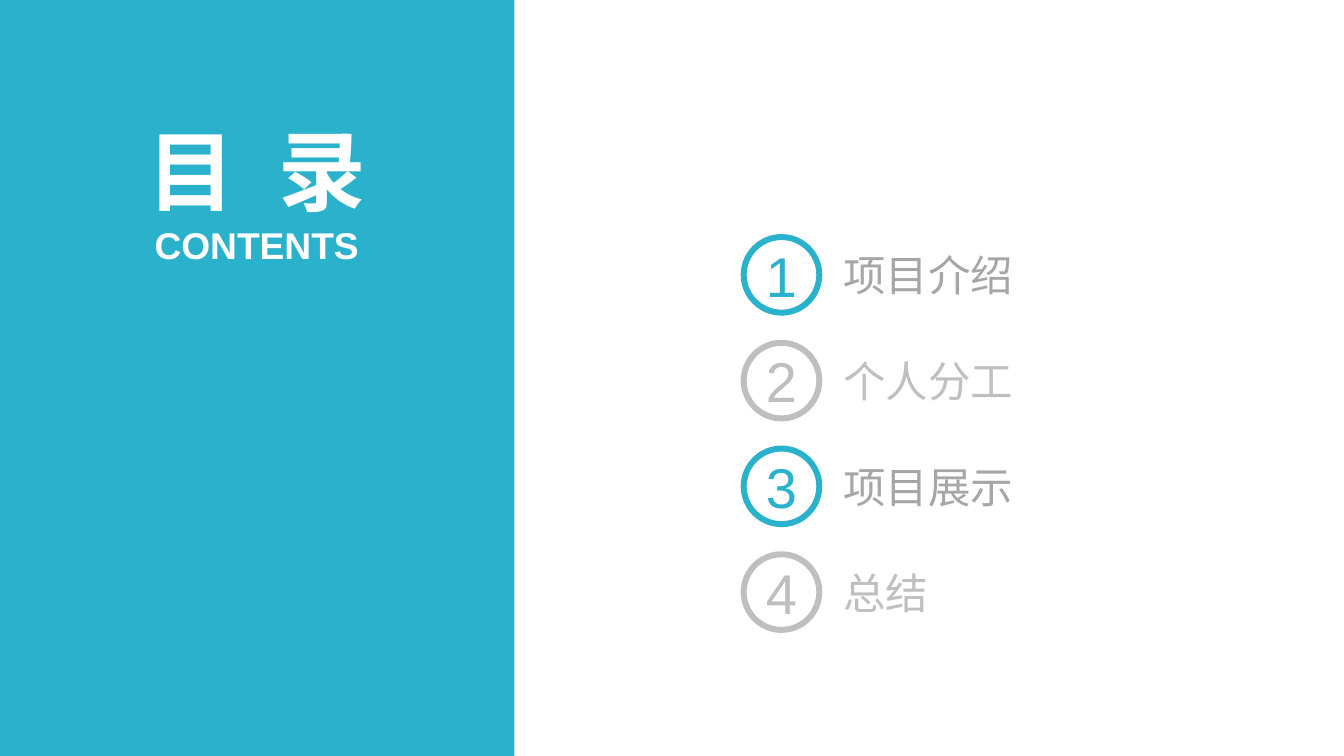
import dataclasses
import typing

import pptx
import pptx.dml.color
import pptx.enum.shapes
import pptx.enum.text
import pptx.oxml.ns
import pptx.util
from pptx.util import Cm

ALIGN = pptx.enum.text.PP_ALIGN
ANCHOR = pptx.enum.text.MSO_ANCHOR
SHAPE = pptx.enum.shapes.MSO_SHAPE


@dataclasses.dataclass(frozen=True)
class Theme:
    font: str = "Arial"
    accent: str = "2AB2CC"
    white: str = "FFFFFF"
    muted: str = "BFBFBF"
    strong_label: str = "A6A6A6"
    title_size: float = 66
    subtitle_size: float = 28
    number_size: float = 42.2
    label_size: float = 32
    ring_width: float = 4.5


@dataclasses.dataclass(frozen=True)
class Chapter:
    label: str
    ring_color: str
    label_color: str


THEME = Theme()
CHAPTERS = [
    Chapter("项目介绍", THEME.accent, THEME.strong_label),
    Chapter("个人分工", THEME.muted, THEME.muted),
    Chapter("项目展示", THEME.accent, THEME.strong_label),
    Chapter("总结", THEME.muted, THEME.muted),
]

# Layout in centimetres
SLIDE_WIDTH, SLIDE_HEIGHT = 35.71, 20.09
PANEL_WIDTH = 13.67
RING_LEFT, RING_TOP, RING_SIZE = 19.76, 6.3, 2.01
LABEL_LEFT, LABEL_WIDTH, LABEL_HEIGHT = 22.4, 7.52, 1.37
CHAPTER_PITCH = 2.81


def rgb(color: str) -> pptx.dml.color.RGBColor:
    return pptx.dml.color.RGBColor.from_string(color)


def place(shape: typing.Any, left: float, top: float, width: float, height: float) -> None:
    shape.left, shape.top = Cm(left), Cm(top)
    shape.width, shape.height = Cm(width), Cm(height)


def write(shape: typing.Any, text: str, *, size: float, color: str, bold: bool = False,
          align: ALIGN = ALIGN.CENTER, anchor: ANCHOR = ANCHOR.MIDDLE,
          tracking: float = 0) -> None:
    """Fill a shape with one unbulleted line of formatted text."""
    frame = shape.text_frame
    frame.margin_left = frame.margin_right = frame.margin_top = frame.margin_bottom = 0
    frame.word_wrap = True
    frame.auto_size = pptx.enum.text.MSO_AUTO_SIZE.NONE
    frame.vertical_anchor = anchor
    paragraph = frame.paragraphs[0]
    paragraph.alignment = align
    paragraph.space_before = pptx.util.Pt(0)
    properties = paragraph._p.get_or_add_pPr()
    properties.set("marL", "0")
    properties.set("indent", "0")
    properties.append(pptx.oxml.parse_xml(f"<a:buNone {pptx.oxml.ns.nsdecls('a')}/>"))
    run = paragraph.add_run()
    run.text = text
    run.font.name = THEME.font
    run.font.size = pptx.util.Pt(size)
    run.font.bold = bold
    run.font.color.rgb = rgb(color)
    if tracking:
        run._r.get_or_add_rPr().set("spc", str(round(tracking * 100)))


def add_panel(slide: typing.Any) -> None:
    panel = slide.shapes.add_shape(SHAPE.RECTANGLE, 0, 0, Cm(PANEL_WIDTH), Cm(SLIDE_HEIGHT))
    panel.shadow.inherit = False
    panel.fill.solid()
    panel.fill.fore_color.rgb = rgb(THEME.accent)
    panel.line.fill.background()
    # Send the panel behind the title
    panel.element.getparent().insert(2, panel.element)


def add_heading(slide: typing.Any) -> None:
    title = slide.shapes.title
    place(title, 3.45, 3.1, 6.76, 2.82)
    write(title, "目 录", size=THEME.title_size, color=THEME.white, bold=True, tracking=9)
    subtitle = slide.shapes.add_textbox(Cm(3.48), Cm(5.92), Cm(6.68), Cm(1.19))
    write(subtitle, "CONTENTS", size=THEME.subtitle_size, color=THEME.white, bold=True,
          anchor=ANCHOR.TOP)


def add_chapter(slide: typing.Any, label: typing.Any, number: int, chapter: Chapter) -> None:
    top = RING_TOP + (number - 1) * CHAPTER_PITCH
    ring = slide.shapes.add_shape(SHAPE.OVAL, Cm(RING_LEFT), Cm(top), Cm(RING_SIZE), Cm(RING_SIZE))
    ring.shadow.inherit = False
    ring.fill.solid()
    ring.fill.fore_color.rgb = rgb(THEME.white)
    ring.line.color.rgb = rgb(chapter.ring_color)
    ring.line.width = pptx.util.Pt(THEME.ring_width)
    write(ring, str(number), size=THEME.number_size, color=chapter.ring_color)

    # Label centred on its ring
    place(label, LABEL_LEFT, top + (RING_SIZE - LABEL_HEIGHT) / 2, LABEL_WIDTH, LABEL_HEIGHT)
    write(label, chapter.label, size=THEME.label_size, color=chapter.label_color,
          align=ALIGN.LEFT)


def main() -> None:
    presentation = pptx.Presentation()
    presentation.slide_width, presentation.slide_height = Cm(SLIDE_WIDTH), Cm(SLIDE_HEIGHT)
    # The comparison layout has a title and four text placeholders
    slide = presentation.slides.add_slide(presentation.slide_layouts[4])
    labels = list(slide.placeholders)[1:]

    add_panel(slide)
    add_heading(slide)
    for number, (label, chapter) in enumerate(zip(labels, CHAPTERS), start=1):
        add_chapter(slide, label, number, chapter)

    presentation.save("out.pptx")


if __name__ == "__main__":
    main()
